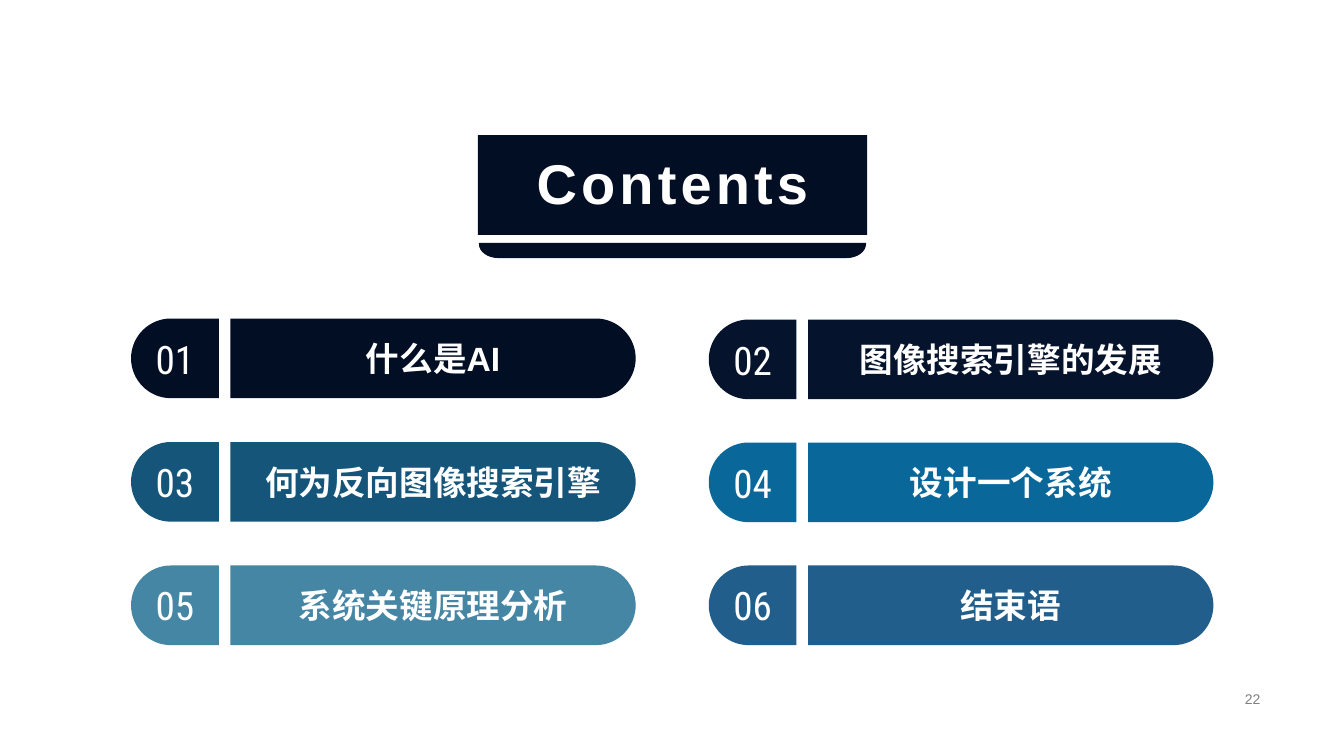
from lxml import etree
from pptx import Presentation
from pptx.dml.color import RGBColor
from pptx.enum.text import MSO_ANCHOR, MSO_AUTO_SIZE, PP_ALIGN
from pptx.oxml.ns import qn
from pptx.util import Inches, Pt

CENTER, RIGHT = PP_ALIGN.CENTER, PP_ALIGN.RIGHT
MIDDLE = MSO_ANCHOR.MIDDLE
NO_AUTOFIT = MSO_AUTO_SIZE.NONE
TITLE_ONLY = 5
ARC_PULL = 0.55  # how far curve handles reach towards a corner

NAVY, WHITE, GRAY = "010E23", "FFFFFF", "808080"
CHAPTERS = [
    ("什么是AI", NAVY),
    ("图像搜索引擎的发展", "05132C"),
    ("何为反向图像搜索引擎", "145579"),
    ("设计一个系统", "0A6799"),
    ("系统关键原理分析", "4586A5"),
    ("结束语", "215E8B"),
]

# Chapter columns in inches: left, top, row step
COLUMNS = [(1.3, 3.16, 1.225), (7.03, 3.17, 1.22)]
PILL_HEIGHT = 0.79
NUMBER_WIDTH, NAME_OFFSET, NAME_WIDTH = 0.87, 0.985, 4.02

# Title tab, in inches
TAB_LEFT, TAB_TOP, TAB_WIDTH, TAB_HEIGHT = 4.74, 1.34, 3.86, 0.99

# Text formats
NUMBER_FONT = {"name": "Roboto Condensed", "size": Pt(28), "bold": False}
NAME_FONT = {"name": "Arial", "size": Pt(24), "bold": True}
TITLE_FONT = {"name": "Arial", "size": Pt(40), "bold": True}
PAGE_FONT = {"name": "Arial", "size": Pt(10), "bold": False}


def rgb(hex_color):
    return RGBColor.from_string(hex_color)


def paint(shape, color):
    shape.fill.solid()
    shape.fill.fore_color.rgb = rgb(color)
    shape.line.fill.background()


def write(shape, text, font_format, color=WHITE, align=CENTER, wrap=False):
    """Put one formatted line of text in a shape and return its run."""
    frame = shape.text_frame
    frame_format = {"auto_size": NO_AUTOFIT, "word_wrap": wrap,
                    "vertical_anchor": MIDDLE}
    for key, value in frame_format.items():
        setattr(frame, key, value)
    paragraph = frame.paragraphs[0]
    paragraph.alignment = align
    run = paragraph.add_run()
    run.text = text
    for key, value in font_format.items():
        setattr(run.font, key, value)
    run.font.color.rgb = rgb(color)
    return run


def bend(line, start, corner, end):
    """Turn a straight segment into a curve that bulges to the corner."""
    curve = etree.Element(qn("a:cubicBezTo"))
    handles = [tuple(p + (c - p) * ARC_PULL for p, c in zip(point, corner))
               for point in (start, end)]
    for x, y in (*handles, end):
        etree.SubElement(curve, qn("a:pt"), x=str(Inches(x)), y=str(Inches(y)))
    line.getparent().replace(line, curve)


def add_rounded(slide, left, top, width, height, color, side, radius):
    """Draw a box whose two corners on one side are rounded."""
    radius_x, radius_y = radius
    corners = [("left top", 0, 0), ("right top", width, 0),
               ("right bottom", width, height), ("left bottom", 0, height)]
    points, bends = [], {}
    for name, x, y in corners:
        if side not in name:
            points.append((x, y))
            continue
        on_side = (x, y + radius_y if y == 0 else y - radius_y)
        on_edge = (x + radius_x if x == 0 else x - radius_x, y)
        ends = [on_side, on_edge]
        if name in ("right top", "left bottom"):
            ends.reverse()
        if not points or points[-1] != ends[0]:
            points.append(ends[0])
        bends[len(points)] = (ends[0], (x, y), ends[1])
        points.append(ends[1])

    outline_points = [(Inches(left + x), Inches(top + y)) for x, y in points]
    outline = slide.shapes.build_freeform(*outline_points[0])
    outline.add_line_segments(outline_points[1:], close=True)
    box = outline.convert_to_shape()
    segments = list(box._element.iter(qn("a:lnTo")))
    for index, curve in bends.items():
        bend(segments[index - 1], *curve)
    box.shadow.inherit = False
    paint(box, color)
    return box


def add_title(slide):
    title = slide.shapes.title
    place = {"left": TAB_LEFT, "top": TAB_TOP,
             "width": TAB_WIDTH, "height": TAB_HEIGHT}
    for key, value in place.items():
        setattr(title, key, Inches(value))
    # Tab with a rounded top
    tab = etree.SubElement(title._element.spPr, qn("a:prstGeom"),
                           prst="round2SameRect")
    guides = etree.SubElement(tab, qn("a:avLst"))
    for name, value in {"adj1": 20200, "adj2": 0}.items():
        etree.SubElement(guides, qn("a:gd"), name=name, fmla=f"val {value}")
    paint(title, NAVY)
    run = write(title, "Contents", TITLE_FONT, wrap=True)
    run.font._element.set("spc", "300")
    title.text_frame.margin_top = 0
    # Strip under the tab
    add_rounded(slide, 4.75, 2.41, 3.84, 0.15, NAVY, "bottom", (0.19, 0.14))


def add_chapter(slide, index, name, color):
    row, column = divmod(index, 2)
    left, first_top, row_step = COLUMNS[column]
    top = first_top + row * row_step
    radius = (PILL_HEIGHT / 2, PILL_HEIGHT / 2)
    number_cap = add_rounded(slide, left, top, NUMBER_WIDTH, PILL_HEIGHT,
                             color, "left", radius)
    write(number_cap, f"{index + 1:02}", NUMBER_FONT)
    name_bar = add_rounded(slide, left + NAME_OFFSET, top, NAME_WIDTH,
                           PILL_HEIGHT, color, "right", radius)
    write(name_bar, name, NAME_FONT)


def add_page_number(slide):
    page_number = slide.shapes.add_textbox(
        Inches(9.42), Inches(6.82), Inches(3.18), Inches(0.23))
    write(page_number, "22", PAGE_FONT, GRAY, RIGHT, wrap=True)


def main():
    deck = Presentation()
    deck.slide_width, deck.slide_height = Inches(13.33), Inches(7.5)
    slide = deck.slides.add_slide(deck.slide_layouts[TITLE_ONLY])

    add_title(slide)
    for index, (name, color) in enumerate(CHAPTERS):
        add_chapter(slide, index, name, color)
    add_page_number(slide)

    deck.save("out.pptx")


if __name__ == "__main__":
    main()
